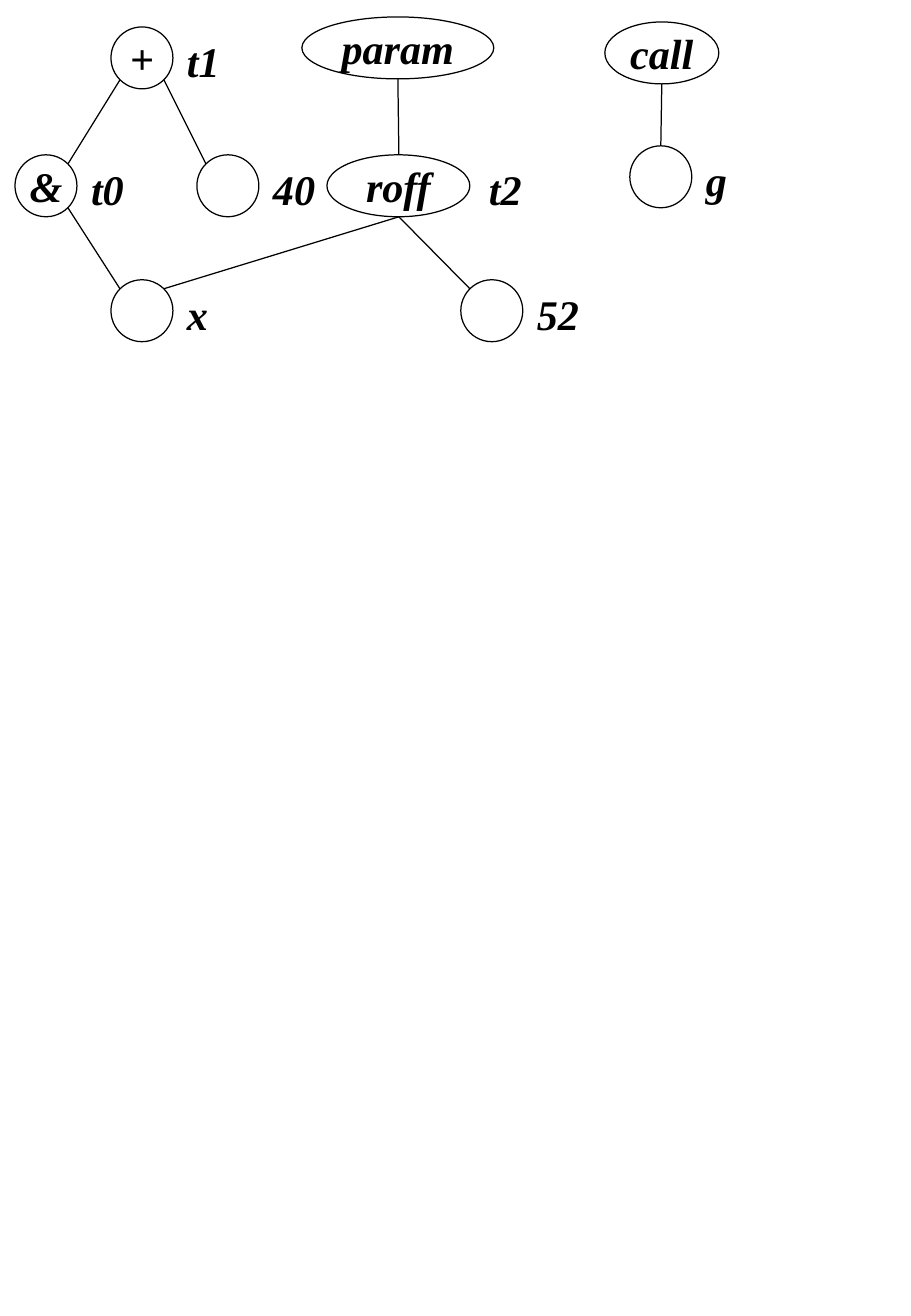
from dataclasses import dataclass
from math import sqrt

from lxml.etree import SubElement
from pptx import Presentation
from pptx.dml.color import RGBColor
from pptx.enum.shapes import MSO_CONNECTOR as Connector, MSO_SHAPE as Preset
from pptx.enum.text import MSO_ANCHOR as Anchor, PP_ALIGN as Align
from pptx.oxml.ns import qn
from pptx.shapes.base import BaseShape
from pptx.slide import Slide
from pptx.util import Emu, Inches, Pt

EMU_PER_PX = 7526
NODE_SIZE = 62
LABEL_WIDTH, LABEL_HEIGHT, LABEL_DROP = 52, 57, 5
INSET_Y = 6
COLOURS = {"ink": "000000", "paper": "FFFFFF"}
FONT = {"name": "Times New Roman", "size": Pt(25), "bold": True, "italic": True}

# Direction of each attachment site from the centre of an ellipse.
DIAGONAL = 1 / sqrt(2)
SITES = {
    "top": (0, -1),
    "bottom": (0, 1),
    "top left": (-DIAGONAL, -DIAGONAL),
    "top right": (DIAGONAL, -DIAGONAL),
    "bottom left": (-DIAGONAL, DIAGONAL),
    "bottom right": (DIAGONAL, DIAGONAL),
}


@dataclass(frozen=True)
class Node:
    left: int
    top: int
    operator: str = ""
    label: str = ""
    width: int = NODE_SIZE
    label_gap: int = 0

    def site(self, name: str) -> tuple[int, int]:
        across, down = SITES[name]
        return (int(self.left + self.width / 2 * (1 + across) + 0.5),
                int(self.top + NODE_SIZE / 2 * (1 + down) + 0.5))


@dataclass(frozen=True)
class Edge:
    start: str
    start_site: str
    end: str
    end_site: str


NODES = {
    "offset 52": Node(461, 280, label="52"),
    "x": Node(111, 280, label="x"),
    "g": Node(630, 146, label="g"),
    "roff": Node(327, 155, "roff", "t2", width=143, label_gap=5),
    "call": Node(605, 22, "call", width=114),
    "param": Node(302, 17, "param", width=192),
    "address": Node(15, 155, "&", "t0"),
    "offset 40": Node(197, 155, label="40"),
    "plus": Node(111, 27, "+", "t1"),
}
EDGES = [
    Edge("roff", "bottom", "x", "top right"),
    Edge("roff", "bottom", "offset 52", "top left"),
    Edge("call", "bottom", "g", "top"),
    Edge("param", "bottom", "roff", "top"),
    Edge("address", "bottom right", "x", "top left"),
    Edge("address", "top right", "plus", "bottom left"),
    Edge("offset 40", "top left", "plus", "bottom right"),
]


def px(length: int) -> Emu:
    return Emu(length * EMU_PER_PX)


def colour(name: str) -> RGBColor:
    return RGBColor.from_string(COLOURS[name])


def write(box: BaseShape, text: str, align: Align, inset_x: int) -> None:
    frame = box.text_frame
    layout = {
        "word_wrap": False, "vertical_anchor": Anchor.MIDDLE,
        "margin_left": px(inset_x), "margin_right": px(inset_x),
        "margin_top": px(INSET_Y), "margin_bottom": px(INSET_Y),
    }
    for name, value in layout.items():
        setattr(frame, name, value)
    para = frame.paragraphs[0]
    para.alignment = align
    span = para.add_run()
    span.text = text
    for name, value in FONT.items():
        setattr(span.font, name, value)
    span.font.color.rgb = colour("ink")


def draw_label(page: Slide, node: Node) -> None:
    left = node.left + node.width + node.label_gap
    top = node.top + LABEL_DROP
    right, bottom = left + LABEL_WIDTH, top + LABEL_HEIGHT
    outline = page.shapes.build_freeform(left, top, scale=EMU_PER_PX)
    outline.add_line_segments([(right, top), (right, bottom), (left, bottom)])
    label = outline.convert_to_shape()
    label.shadow.inherit = False
    label.fill.background()
    label.line.fill.background()
    write(label, node.label, Align.LEFT, inset_x=14)


def draw_node(page: Slide, node: Node) -> None:
    ellipse = page.shapes.add_shape(
        Preset.OVAL, px(node.left), px(node.top), px(node.width), px(NODE_SIZE))
    ellipse.shadow.inherit = False
    ellipse.fill.background()
    ellipse.line.color.rgb = colour("ink")
    ellipse.line.width = Pt(0.75)
    if node.operator:
        write(ellipse, node.operator, Align.CENTER, inset_x=12)
    if node.label:
        draw_label(page, node)


def draw_edge(page: Slide, edge: Edge) -> None:
    start = NODES[edge.start].site(edge.start_site)
    end = NODES[edge.end].site(edge.end_site)
    line = page.shapes.add_connector(
        Connector.STRAIGHT, *(px(value) for value in start + end))
    line.line.color.rgb = colour("ink")
    line.line.width = Pt(0.75)
    SubElement(line._element.spPr, qn("a:effectLst"))


def main() -> None:
    deck = Presentation()
    deck.slide_width, deck.slide_height = Inches(7.5), Inches(10.84)
    page = deck.slides.add_slide(deck.slide_layouts[6])
    page.background.fill.solid()
    page.background.fill.fore_color.rgb = colour("paper")
    for node in NODES.values():
        draw_node(page, node)
    for edge in EDGES:
        draw_edge(page, edge)
    deck.save("out.pptx")


if __name__ == "__main__":
    main()
